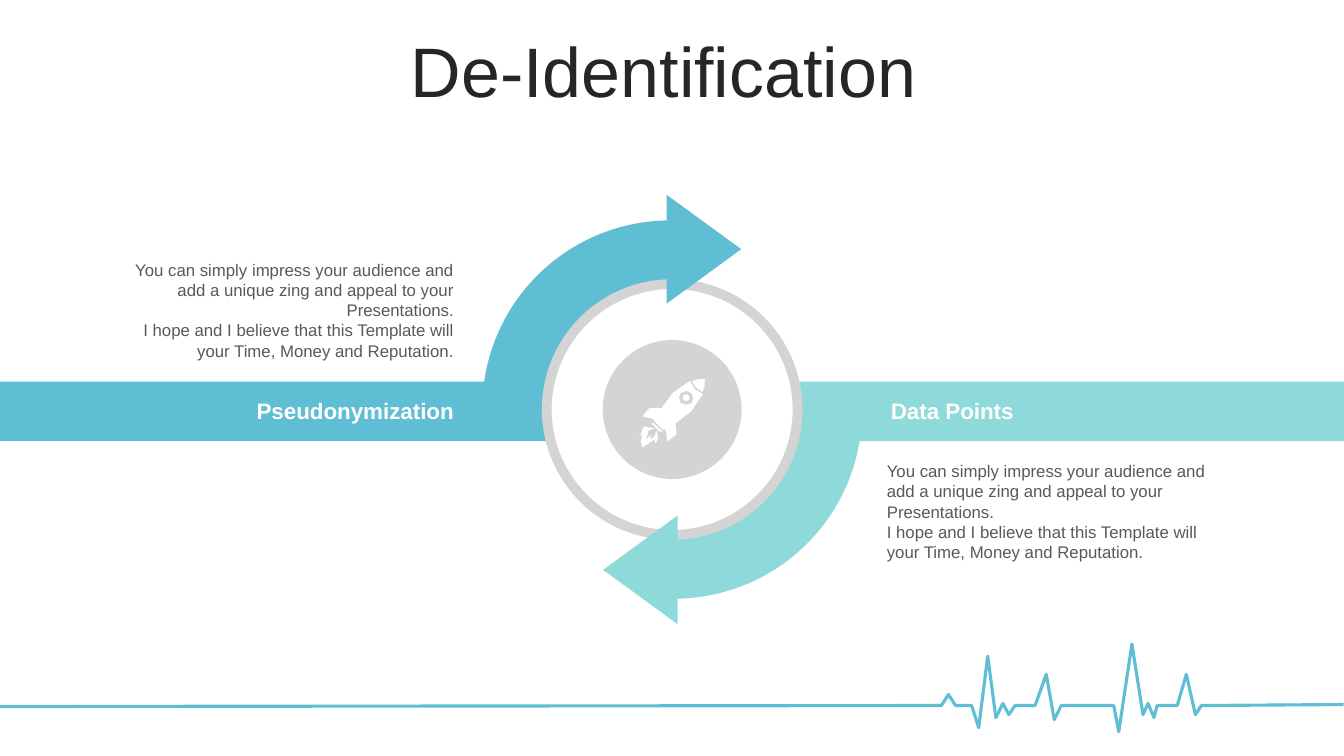
from pptx import Presentation
from pptx.dml.color import RGBColor
from pptx.enum.shapes import MSO_SHAPE
from pptx.enum.text import MSO_ANCHOR, PP_ALIGN
from pptx.util import Cm, Pt

RECT, PIE, OVAL, HEAD = (MSO_SHAPE.RECTANGLE, MSO_SHAPE.PIE, MSO_SHAPE.OVAL,
                         MSO_SHAPE.ISOSCELES_TRIANGLE)
LEFT, MID, RIGHT = PP_ALIGN.LEFT, PP_ALIGN.CENTER, PP_ALIGN.RIGHT
TOP, CENTER = MSO_ANCHOR.TOP, MSO_ANCHOR.MIDDLE

BLUE = RGBColor(0x60, 0xBE, 0xD4)
MINT = RGBColor(0x8E, 0xDA, 0xDA)
SILVER = RGBColor(0xD4, 0xD4, 0xD4)
WHITE = RGBColor(0xFF, 0xFF, 0xFF)
INK = RGBColor(0x26, 0x26, 0x26)
GRAY = RGBColor(0x59, 0x59, 0x59)

WIDTH, HEIGHT = 33.87, 19.05
HUB_X, HUB_Y = 16.94, 10.32
BODY = ["You can simply impress your audience and add a unique zing "
        "and appeal to your Presentations.",
        "I hope and I believe that this Template will your Time, "
        "Money and Reputation."]

PULSE = [(0, 62), (936, 61), (943, 50), (950, 61), (966, 61), (973, 83),
         (982, 12), (990, 73), (997, 59), (1003, 70), (1009, 61), (1029, 61),
         (1040, 30), (1048, 75), (1055, 61), (1107, 61), (1112, 87), (1125, 0),
         (1136, 70), (1141, 59), (1147, 73), (1150, 61), (1170, 61), (1179, 30),
         (1188, 70), (1194, 61), (1335, 60)]

FLAME = [(17, 49), [(13, 48), (7, 53), (9, 61)], [(10, 57), (13, 56), (15, 55)],
         [(14, 56), (12, 57), (13, 60)], [(15, 56), (20, 59), (19, 51)],
         [(24, 58), (19, 60), (18, 64)], [(16, 63), (18, 59), (17, 60)],
         [(13, 67), (8, 62), (5, 68)], [(0, 63), (6, 60), (5, 56)],
         [(5, 55), (3, 55), (2, 59)], [(0, 44), (11, 45), (17, 49)]]
NOZZLE = [(15, 43), (25, 52), [(24, 52), (23, 53), (23, 53)], (14, 44)]
PANE = [(51, 16), [(52, 17), (52, 20), (51, 21)], [(50, 22), (47, 22), (46, 21)],
        [(45, 20), (45, 17), (46, 16)], [(47, 15), (50, 15), (51, 16)]]
RIM = [(54, 14), [(51, 11), (46, 11), (43, 14)], [(41, 16), (41, 21), (43, 24)],
       [(46, 26), (51, 26), (54, 24)], [(56, 21), (56, 16), (54, 14)]]
HULL = [(52, 2), [(54, 8), (59, 13), (65, 15)], [(60, 28), (49, 37), (38, 44)],
        (39, 55), (30, 62), (28, 50), (26, 51), (16, 41),
        [(16, 41), (17, 40), (17, 40)], (5, 37), (12, 29), (24, 29),
        [(30, 19), (39, 7), (52, 2)]]
NOSE = [(67, 0), [(67, 4), (67, 9), (65, 13)], [(60, 11), (56, 7), (54, 2)],
        [(58, 0), (63, 0), (67, 0)]]


def place(slide, kind, box, fill, turn=0):
    shape = slide.shapes.add_shape(kind, *map(Cm, box))
    shape.shadow.inherit = False
    shape.fill.solid()
    shape.fill.fore_color.rgb = fill
    shape.line.fill.background()
    shape.rotation = turn
    return shape


def around(x, y, w, h):
    return x - w / 2, y - h / 2, w, h


def write(slide, box, lines, size=12, color=GRAY, bold=False, align=LEFT,
          anchor=TOP, gap=1.0):
    frame = slide.shapes.add_textbox(*map(Cm, box)).text_frame
    frame.word_wrap = True
    frame.vertical_anchor = anchor
    for i, line in enumerate(lines):
        para = frame.add_paragraph() if i else frame.paragraphs[0]
        para.text = line
        para.alignment = align
        para.line_spacing = gap
        font = para.font
        font.name, font.size, font.bold = "Arial", Pt(size), bold
        font.color.rgb = color


def trace(points, steps=2):
    spots = [points[0]]
    for step in points[1:]:
        if isinstance(step, tuple):
            spots.append(step)
            continue
        ends = [spots[-1]] + step
        for i in range(1, steps + 1):
            t = i / steps
            parts = (1 - t) ** 3, 3 * t * (1 - t) ** 2, 3 * t * t * (1 - t), t ** 3
            spots.append(tuple(sum(k * p[axis] for k, p in zip(parts, ends))
                               for axis in (0, 1)))
    return [(10 * x, 10 * y) for x, y in spots]


def draw(slide, x, y, outlines, closed):
    traces = [trace(outline) for outline in outlines]
    pen = slide.shapes.build_freeform(*traces[0][0], scale=Cm(0.0254) / 10)
    for i, spots in enumerate(traces):
        if i:
            pen.move_to(*spots[0])
        pen.add_line_segments(spots[1:], close=closed)
    shape = pen.convert_to_shape(Cm(x), Cm(y))
    shape.shadow.inherit = False
    return shape


def add_pulse(slide, x, y):
    wave = draw(slide, x, y, [PULSE], False)
    wave.fill.background()
    wave.line.color.rgb = BLUE
    wave.line.width = Pt(2.25)


def add_rocket(slide, x, y):
    rocket = draw(slide, x, y, [FLAME, NOZZLE, PANE, RIM, HULL, NOSE], True)
    rocket.fill.solid()
    rocket.fill.fore_color.rgb = WHITE
    rocket.line.fill.background()


def add_hub(slide, x, y):
    sides = (-1, BLUE), (1, MINT)
    for side, color in sides:
        place(slide, RECT, around(x + side * 10.05, y + 0.05, 13.78, 1.5), color)
    for side, color in sides:
        arc = place(slide, PIE, around(x + side * 0.05, y + side * 0.03, 9.47, 9.47),
                    color, 90 + side * 90)
        arc.adjustments[0], arc.adjustments[1] = 107.76, 162
    ring = place(slide, OVAL, around(x, y, 6.32, 6.32), WHITE)
    ring.line.color.rgb = SILVER
    ring.line.width = Pt(7)
    for side, color in sides:
        place(slide, HEAD, around(x - side * 0.8, y + side * 4.04, 2.74, 1.88),
              color, 180 + side * 90)
    place(slide, OVAL, around(x, y, 3.5, 3.5), SILVER)
    add_rocket(slide, x - 0.88, y - 0.77)


def add_note(slide, x, y, name, name_x, name_y, align):
    write(slide, (name_x, name_y, 7.1, 0.94), [name], size=16, color=WHITE,
          bold=True, align=align)
    write(slide, (x, y, 9.2, 2.82), BODY, align=align)


def main():
    deck = Presentation()
    deck.slide_width, deck.slide_height = Cm(WIDTH), Cm(HEIGHT)
    slide = deck.slides.add_slide(deck.slide_layouts[6])
    add_pulse(slide, -0.05, 16.23)
    write(slide, (0.65, 0.94, 32.16, 2), ["De-Identification"], size=50, color=INK,
          align=MID, anchor=CENTER, gap=0.8)
    add_hub(slide, HUB_X, HUB_Y)
    add_note(slide, 22.1, 11.49, "Data Points", 22.2, 9.88, LEFT)
    add_note(slide, 2.49, 6.42, "Pseudonymization", 4.59, 9.88, RIGHT)
    deck.save("out.pptx")


if __name__ == "__main__":
    main()
